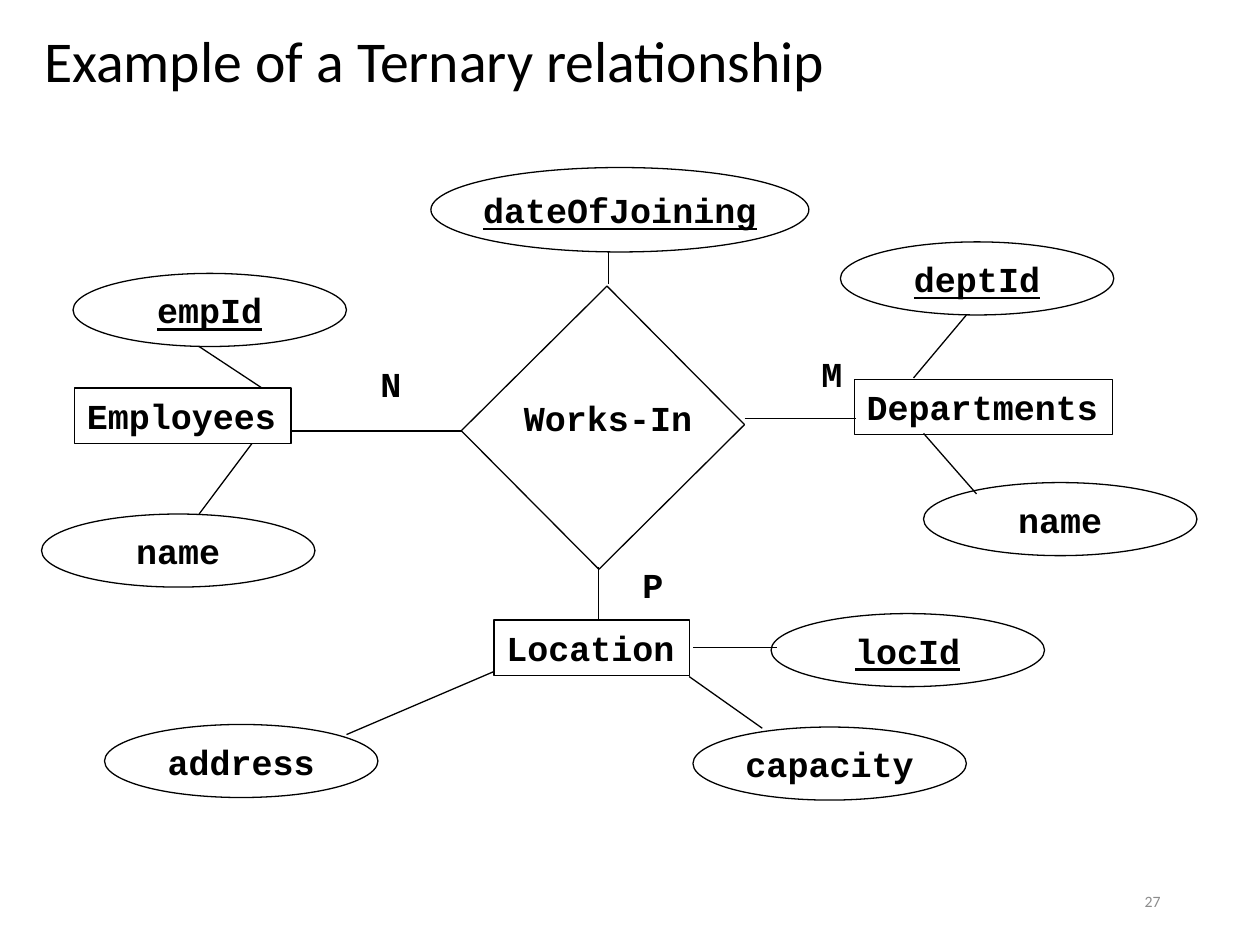
from lxml.etree import SubElement
from pptx import Presentation
from pptx.dml.color import RGBColor
from pptx.enum.shapes import MSO_CONNECTOR as Link, MSO_SHAPE as Kind
from pptx.enum.text import MSO_ANCHOR as Anchor, PP_ALIGN as Align
from pptx.oxml.ns import qn
from pptx.util import Inches, Pt

COLORS = {"ink": "000000", "gray": "8C8C8C"}


class Diagram:
    """Entity-relationship drawing on one slide."""

    head, code = "Calibri", "Courier New"
    size, width = 20, 0.75

    def __init__(self, deck):
        """Add a title-only slide."""
        self.slide = deck.slides.add_slide(deck.slide_layouts[5])
        self.shapes = self.slide.shapes

    def letter(self, shape, text, font=code, size=size, color="ink", bold=True,
               under=False, align=Align.LEFT, anchor=Anchor.TOP, wrap=False):
        """Put styled text in a shape."""
        frame = shape.text_frame
        frame.text = text
        frame.word_wrap, frame.vertical_anchor = wrap, anchor
        para = frame.paragraphs[0]
        para.alignment = align
        style = para.runs[0].font
        style.name, style.size, style.bold = font, Pt(size), bold
        style.underline = under
        style.color.rgb = RGBColor.from_string(COLORS[color])

    def stroke(self, line):
        """Draw a thin dark outline."""
        line.color.rgb = RGBColor.from_string(COLORS["ink"])
        line.width = Pt(self.width)

    def title(self, text, *box):
        """Move and fill the title placeholder."""
        shape = self.shapes.title
        shape.left, shape.top, shape.width, shape.height = map(Inches, box)
        self.letter(shape, text, self.head, 33, bold=False,
                    anchor=Anchor.MIDDLE, wrap=True)
        shape.text_frame.paragraphs[0].line_spacing = 0.9

    def label(self, text, *box, **style):
        """Add a text box."""
        self.letter(self.shapes.add_textbox(*map(Inches, box)), text, **style)

    def outline(self, kind, *box):
        """Add an unfilled shape."""
        shape = self.shapes.add_shape(kind, *map(Inches, box))
        shape.shadow.inherit = False
        shape.fill.background()
        self.stroke(shape.line)
        return shape

    def entity(self, text, left, top, width):
        """Add an entity box."""
        self.letter(self.outline(Kind.RECTANGLE, left, top, width, 0.44), text)

    def field(self, text, left, top, key=False, width=2.17, height=0.58):
        """Add an attribute oval, underlined when it is a key."""
        oval = self.outline(Kind.OVAL, left, top, width, height)
        self.letter(oval, text, under=key, align=Align.CENTER,
                    anchor=Anchor.MIDDLE)

    def link(self, *ends):
        """Join two points with a line."""
        line = self.shapes.add_connector(Link.STRAIGHT, *map(Inches, ends))
        self.stroke(line.line)
        SubElement(line._element.spPr, qn("a:effectLst"))


def main():
    """Build and save the slide."""
    deck = Presentation()
    deck.slide_width, deck.slide_height = Inches(10), Inches(7.5)
    art = Diagram(deck)
    art.title("Example of a Ternary relationship", 0.25, 0.17, 9.17, 0.67)
    art.label("27", 7.06, 6.95, 2.25, 0.4, font=art.head, size=9, color="gray",
              bold=False, align=Align.RIGHT, anchor=Anchor.MIDDLE, wrap=True)

    for item in (("Employees", 0.59, 3.08, 1.72),
                 ("Departments", 6.78, 3.01, 2.05),
                 ("Location", 3.92, 4.92, 1.55)):
        art.entity(*item)

    art.outline(Kind.RECTANGLE, 4.01, 2.58, 1.55, 1.63).rotation = 45.2
    art.label("Works-In", 4.06, 3.1, 1.55, 0.44)

    art.field("dateOfJoining", 3.42, 1.33, True, 3, 0.67)
    for item in (("empId", 0.58, 2.17, True), ("name", 0.33, 4.08),
                 ("deptId", 6.67, 1.92, True), ("name", 7.33, 3.83),
                 ("locId", 6.12, 4.87, True), ("address", 0.83, 5.75),
                 ("capacity", 5.5, 5.77)):
        art.field(*item)

    for ends in ((2.31, 3.42, 3.67, 3.42), (5.91, 3.32, 6.79, 3.32),
                 (4.75, 4.92, 4.75, 4.5), (4.83, 2.25, 4.83, 2),
                 (2, 3.52, 1.58, 4.08), (2.08, 3.08, 1.58, 2.75),
                 (7.25, 3, 7.67, 2.5), (7.33, 3.44, 7.75, 3.92),
                 (3.92, 5.33, 2.75, 5.83), (5.47, 5.37, 6.05, 5.78),
                 (5.5, 5.14, 6.17, 5.14)):
        art.link(*ends)

    for text, left, top in (("N", 2.92, 2.83), ("M", 6.42, 2.75),
                            ("P", 5, 4.42)):
        art.label(text, left, top, 0.37, 0.44)
    deck.save("out.pptx")


main()
